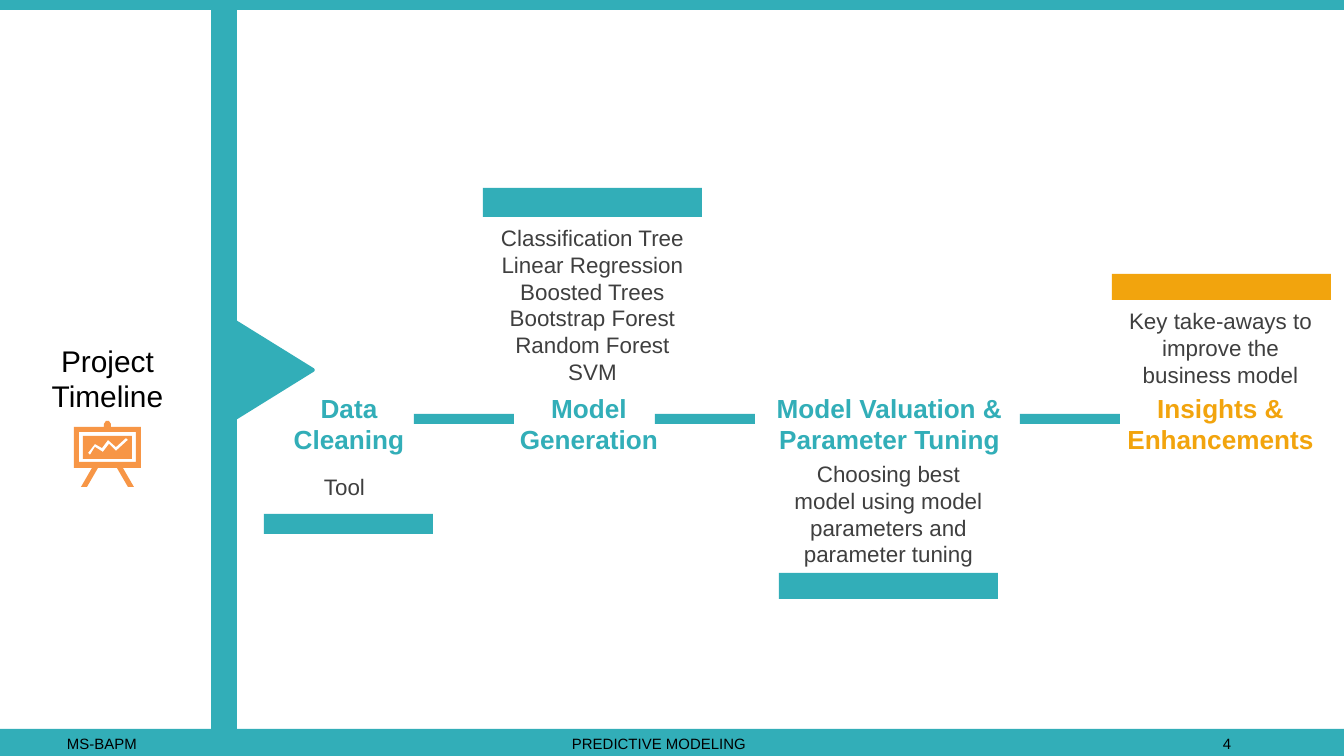
import pptx
import pptx.util
import pptx.dml.color
import pptx.enum.shapes
import pptx.enum.text
import pptx.oxml
import pptx.oxml.ns

SLIDE_SIZE = (1344, 756)
HEADING = "Project Timeline"
FOOTER = ("MS-BAPM", "PREDICTIVE MODELING", "4")
FOOTER_STARTS = (67, 572, 1223)

STAGES = [
    {"label": ["Data Cleaning"], "label_box": (265, 386, 168, 67),
     "detail": ["Tool"], "detail_box": (235, 467, 219, 40),
     "bar": (264, 514, 169, 20), "color": "teal"},
    {"label": ["Model Generation"], "label_box": (505, 386, 168, 67),
     "detail": ["Classification Tree", "Linear Regression", "Boosted Trees",
                "Bootstrap Forest", "Random Forest", "SVM"],
     "detail_box": (483, 218, 219, 168),
     "bar": (483, 188, 219, 29), "color": "teal"},
    {"label": ["Model Valuation & Parameter Tuning"], "label_box": (750, 386, 279, 67),
     "detail": ["Choosing best model using model parameters and parameter tuning"],
     "detail_box": (779, 454, 219, 118),
     "bar": (779, 573, 219, 26), "color": "teal"},
    {"label": ["Insights &", "Enhancements"], "label_box": (1111, 386, 219, 67),
     "detail": ["Key take-aways to improve the business model"],
     "detail_box": (1111, 301, 219, 90),
     "bar": (1112, 274, 219, 26), "color": "orange"},
]
LINK_STARTS = (414, 655, 1020)
LINK_TOP, LINK_SIZE = 414, (100, 10)

BOARD_ICON = [
    [(104, 427), (104, 424), (106, 421), (109, 421), (111, 424), (111, 427),
     (141, 427), (141, 468), (123, 468), (134, 487), (128, 487), (117, 468),
     (98, 468), (87, 487), (81, 487), (92, 468), (74, 468), (74, 427)],
    [(79, 432), (79, 462), (136, 462), (136, 432)],
    [(83, 436), (132, 436), (132, 459), (83, 459)],
    [(88, 453), (95, 444), (102, 448), (108, 440), (116, 447), (126, 438),
     (128, 440), (116, 451), (109, 444), (103, 452), (95, 447), (90, 455)],
]

THEME = {
    "font": "Arial",
    "colors": {"teal": "32AEB8", "orange": "F2A40D", "icon": "F79646",
               "black": "000000", "gray": "3F3F3F"},
    "sizes": {"heading": 16, "label": 14, "detail": 12, "footer": 8},
}
SCALE = 914400 / 134.4
ANCHOR = pptx.enum.text.MSO_ANCHOR
ALIGN = pptx.enum.text.PP_ALIGN
SHAPE = pptx.enum.shapes.MSO_SHAPE


def px(length):
    return pptx.util.Emu(round(length * SCALE))


def rgb(color):
    return pptx.dml.color.RGBColor.from_string(THEME["colors"][color])


def apply(target, values):
    for name, value in values.items():
        setattr(target, name, value)


def place(part, box):
    apply(part, dict(zip(("left", "top", "width", "height"), map(px, box))))


def paint(part, color, outline=0):
    part.shadow.inherit = False
    part.fill.solid()
    part.fill.fore_color.rgb = rgb(color)
    if outline:
        part.line.color.rgb = rgb(color)
        part.line.width = pptx.util.Pt(outline)
    else:
        part.line.fill.background()


def add_block(slide, box, color, outline=0, kind=SHAPE.RECTANGLE):
    block = slide.shapes.add_shape(kind, *map(px, box))
    paint(block, color, outline)
    return block


def write(part, lines, role, color, bold=False, align=ALIGN.CENTER,
          anchor=ANCHOR.TOP, insets=(13, 6, 13, 6)):
    frame = part.text_frame
    apply(frame, {"word_wrap": True, "vertical_anchor": anchor,
                  "auto_size": pptx.enum.text.MSO_AUTO_SIZE.NONE})
    apply(frame, dict(zip(("margin_left", "margin_top", "margin_right", "margin_bottom"),
                          map(px, insets))))
    frame.text = "\n".join(lines)
    for paragraph in frame.paragraphs:
        apply(paragraph, {"alignment": align, "space_before": pptx.util.Pt(0)})
        for run in paragraph.runs:
            apply(run.font, {"name": THEME["font"], "bold": bold,
                             "size": pptx.util.Pt(THEME["sizes"][role])})
            run.font.color.rgb = rgb(color)


def add_words(slide, box, *words, **layout):
    part = slide.shapes.add_textbox(*map(px, box))
    write(part, *words, **layout)
    return part


def drop_bullets(part):
    for paragraph in part.text_frame.paragraphs:
        properties = paragraph._p.get_or_add_pPr()
        properties.set("marL", "0")
        properties.set("indent", "0")
        properties.append(pptx.oxml.parse_xml(
            f'<a:buNone {pptx.oxml.ns.nsdecls("a")}/>'))


def add_footer(slide):
    start = FOOTER_STARTS[0]
    footer = add_words(slide, (0, 730, 1344, 28), ["\t".join(FOOTER)], "footer", "black",
                       align=ALIGN.LEFT, anchor=ANCHOR.MIDDLE, insets=(start, 0, 0, 0))
    stops = "".join(f'<a:tab pos="{px(stop - start)}" algn="l"/>'
                    for stop in FOOTER_STARTS[1:])
    footer.text_frame.paragraphs[0]._p.get_or_add_pPr().append(pptx.oxml.parse_xml(
        f'<a:tabLst {pptx.oxml.ns.nsdecls("a")}>{stops}</a:tabLst>'))


def add_icon(slide):
    outline = slide.shapes.build_freeform(*BOARD_ICON[0][0], scale=SCALE)
    for contour in BOARD_ICON:
        outline.move_to(*contour[0])
        outline.add_line_segments(contour[1:], close=True)
    paint(outline.convert_to_shape(), "icon")


def main():
    deck = pptx.Presentation()
    deck.slide_width, deck.slide_height = map(px, SLIDE_SIZE)
    slide = deck.slides.add_slide(deck.slide_layouts[1])
    heading, model_list = slide.placeholders

    add_block(slide, (0, 729, 1344, 27), "teal")
    add_block(slide, (0, 0, 1344, 10), "teal")
    place(heading, (2, 0, 211, 756))
    write(heading, [HEADING], "heading", "black", anchor=ANCHOR.MIDDLE,
          insets=(13, 13, 13, 13))
    add_block(slide, (213, 8, 22, 737), "teal", 2)
    pointer = add_block(slide, (201, 320, 124, 100), "teal", 2, SHAPE.ISOSCELES_TRIANGLE)
    pointer.rotation = 90
    add_footer(slide)

    for left in LINK_STARTS:
        add_block(slide, (left, LINK_TOP, *LINK_SIZE), "teal")
    for stage in STAGES:
        add_block(slide, stage["bar"], stage["color"])
        add_words(slide, stage["label_box"], stage["label"], "label", stage["color"], bold=True)
        if len(stage["detail"]) > 1:
            place(model_list, stage["detail_box"])
            write(model_list, stage["detail"], "detail", "gray")
            drop_bullets(model_list)
        else:
            add_words(slide, stage["detail_box"], stage["detail"], "detail", "gray")
    add_icon(slide)
    deck.save("out.pptx")


if __name__ == "__main__":
    main()
